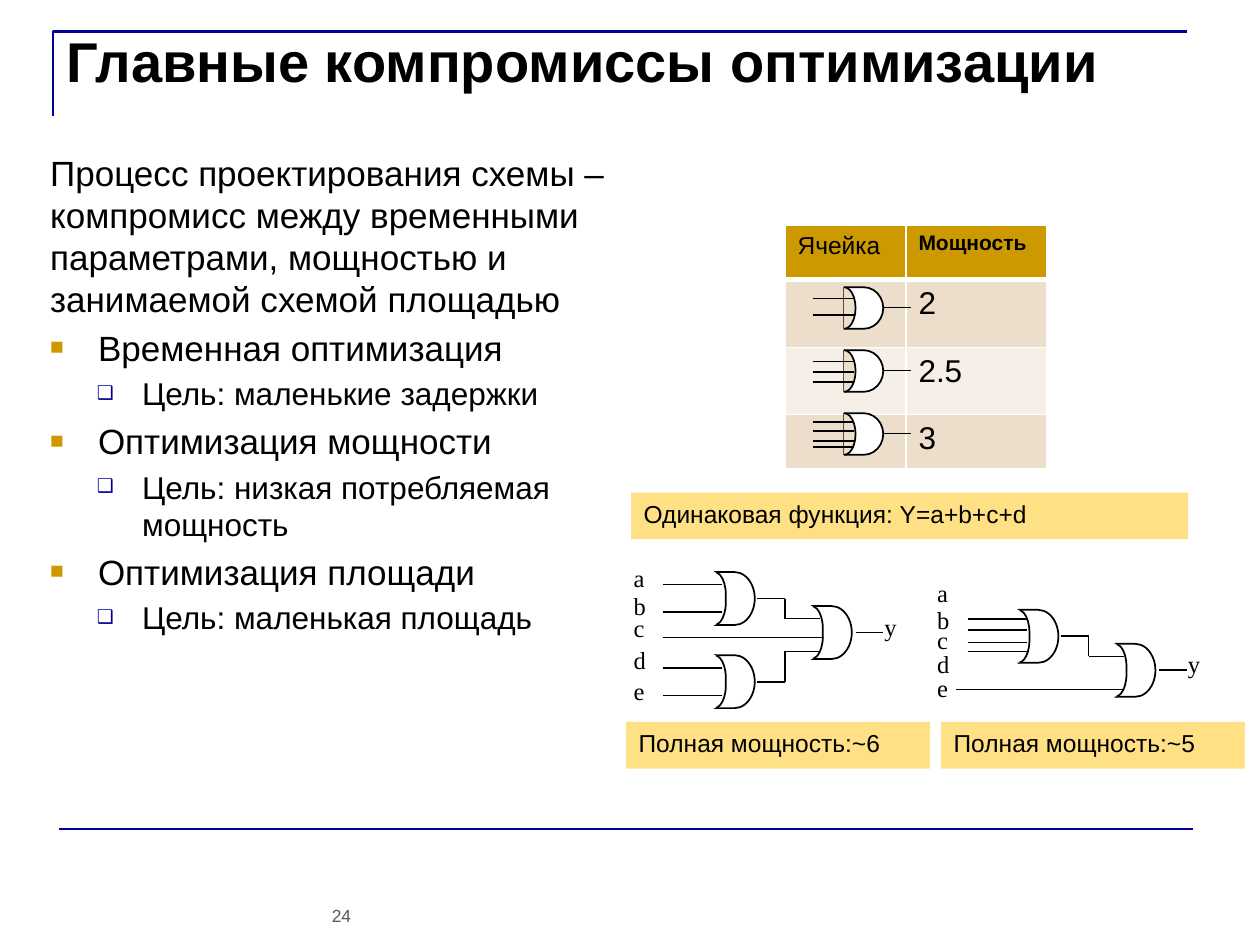
from lxml.etree import SubElement
from pptx import Presentation
from pptx.dml.color import RGBColor
from pptx.enum.shapes import MSO_CONNECTOR, MSO_SHAPE
from pptx.enum.text import MSO_ANCHOR, PP_ALIGN
from pptx.oxml.ns import qn
from pptx.util import Emu, Pt

PX = 9144  # EMU in one px: 100 px to the inch

BLACK = RGBColor(0x00, 0x00, 0x00)
WHITE = RGBColor(0xFF, 0xFF, 0xFF)
GRAY = RGBColor(0x59, 0x59, 0x59)
NAVY = RGBColor(0x00, 0x00, 0x99)
GOLD = RGBColor(0xCC, 0x99, 0x00)
YELLOW = RGBColor(0xFF, 0xE0, 0x85)
SAND = RGBColor(0xEC, 0xDE, 0xCB)
CREAM = RGBColor(0xF6, 0xEF, 0xE7)
BEIGE = RGBColor(0xEE, 0xDF, 0xCC)

# level: text size, left margin, hanging indent, bullet, bullet colour, bullet size
LEVELS = {
    0: (20, 38, 38, "■", GOLD, 65),
    1: (18, 73, 36, "❑", NAVY, 60),
}
GOALS = [
    ("Временная оптимизация", "Цель: маленькие задержки"),
    ("Оптимизация мощности", "Цель: низкая потребляемая мощность"),
    ("Оптимизация площади", "Цель: маленькая площадь"),
]
CELLS = [("Ячейка", "Мощность"), ("", "2"), ("", "2.5"), ("", "3")]


def px(n):
    return Emu(n * PX)


class Slide:
    font = {"name": "Arial", "size": 14, "bold": False, "color": BLACK}

    def __init__(self, prs):
        self.s = prs.slides.add_slide(prs.slide_layouts[6])

    def style(self, font, **fmt):
        for key, value in {**self.font, **fmt}.items():
            if key == "color":
                font.color.rgb = value
            else:
                setattr(font, key, Pt(value) if key == "size" else value)

    def fill_text(self, tf, text, align=PP_ALIGN.LEFT, **fmt):
        tf.word_wrap = True
        p = tf.paragraphs[0]
        p.alignment = align
        r = p.add_run()
        r.text = text
        self.style(r.font, **fmt)

    def text(self, x, y, w, h, text, **fmt):
        tf = self.s.shapes.add_textbox(px(x), px(y), px(w), px(h)).text_frame
        self.fill_text(tf, text, **fmt)
        return tf

    def bullet(self, tf, level, text):
        size, margin, hang, char, color, percent = LEVELS[level]
        p = tf.add_paragraph()
        p.level = level
        p.space_before = Pt(size * 0.2)
        pPr = p._p.get_or_add_pPr()
        pPr.set("marL", str(px(margin)))
        pPr.set("indent", str(-px(hang)))
        clr = SubElement(pPr, qn("a:buClr"))
        SubElement(clr, qn("a:srgbClr"), val=str(color))
        SubElement(pPr, qn("a:buSzPct"), val=str(percent * 1000))
        SubElement(pPr, qn("a:buFont"), typeface="Arial")
        SubElement(pPr, qn("a:buChar"), char=char)
        r = p.add_run()
        r.text = text
        self.style(r.font, size=size)

    def line(self, x1, y1, x2, y2, width=1, color=BLACK):
        c = self.s.shapes.add_connector(
            MSO_CONNECTOR.STRAIGHT, px(x1), px(y1), px(x2), px(y2))
        c.line.color.rgb = color
        c.line.width = Pt(width)
        SubElement(c._element.spPr, qn("a:effectLst"))

    def corner(self, points, width, color):
        fb = self.s.shapes.build_freeform(*points[0], scale=PX)
        fb.add_line_segments(points[1:], close=False)
        sp = fb.convert_to_shape()
        sp.shadow.inherit = False
        sp.fill.background()
        sp.line.color.rgb = color
        sp.line.width = Pt(width)

    def shape(self, kind, x, y, w, h, fill, outline=None):
        sp = self.s.shapes.add_shape(kind, px(x), px(y), px(w), px(h))
        sp.shadow.inherit = False
        sp.fill.solid()
        sp.fill.fore_color.rgb = fill
        if outline is None:
            sp.line.fill.background()
        else:
            sp.line.color.rgb = outline
            sp.line.width = Pt(1)
        return sp

    def caption(self, x, y, w, text):
        sp = self.shape(MSO_SHAPE.RECTANGLE, x, y, w, 37, YELLOW)
        sp.text_frame.vertical_anchor = MSO_ANCHOR.TOP
        self.fill_text(sp.text_frame, text)

    def gate(self, x, y, w=32, h=42, back=WHITE, masked=True):
        """OR gate; the mask hides the straight left edge of its body."""
        self.shape(MSO_SHAPE.FLOWCHART_DELAY, x, y, w, h, WHITE, BLACK)
        sp = self.shape(MSO_SHAPE.RIGHT_BRACKET, x, y, 9, h, back, BLACK)
        sp.adjustments[0] = 1.954
        if masked:
            self.shape(MSO_SHAPE.RECTANGLE, x - 6, y, 7, h, WHITE)

    def labels(self, x, tops, names):
        for y, name in zip(tops, names):
            self.text(x, y, 34, 40, name, name="Times New Roman")

    def table(self, x, y, widths, heights, rows):
        t = self.s.shapes.add_table(len(rows), len(widths), px(x), px(y),
                                    px(sum(widths)), px(sum(heights))).table
        t.first_row = t.horz_banding = False
        for col, w in zip(t.columns, widths):
            col.width = px(w)
        for i, (values, h) in enumerate(zip(rows, heights)):
            t.rows[i].height = px(h)
            for j, value in enumerate(values):
                cell = t.cell(i, j)
                self.borders(cell, top=3 if i == 1 else 1, bottom=3 if i == 0 else 1)
                cell.fill.solid()
                cell.fill.fore_color.rgb = (GOLD, SAND, CREAM, SAND)[i]
                if value:
                    head = i == 0 and j == 1
                    size = 18 if i else 12 if head else 14
                    self.fill_text(cell.text_frame, value, size=size, bold=head)

    def borders(self, cell, top, bottom):
        tcPr = cell._tc.get_or_add_tcPr()
        for side, width in (("L", 1), ("R", 1), ("T", top), ("B", bottom)):
            ln = SubElement(tcPr, qn("a:ln" + side), w=str(Pt(width)))
            SubElement(SubElement(ln, qn("a:solidFill")), qn("a:srgbClr"), val=str(WHITE))


def main():
    prs = Presentation()
    prs.slide_width, prs.slide_height = px(1000), px(750)
    s = Slide(prs)

    s.corner([(42, 92), (42, 25), (942, 25)], 1.5, NAVY)
    s.line(47, 658, 947, 658, 1.5, NAVY)
    s.text(250, 713, 42, 27, "24", align=PP_ALIGN.CENTER, size=10, color=GRAY)
    s.text(43, 16, 900, 125, "Главные компромиссы оптимизации", size=32, bold=True)

    body = s.text(30, 115, 477, 520, "Процесс проектирования схемы – компромисс между временными "
                  "параметрами, мощностью и занимаемой схемой площадью", size=20)
    for goal in GOALS:
        for level, text in enumerate(goal):
            s.bullet(body, level, text)

    s.table(623, 179, (96, 112), (43, 54, 53, 43), CELLS)
    for y, inputs in ((228, (9, 22)), (278, (9, 17, 25)), (328, (7, 14, 22, 27))):
        s.line(702, y + 16, 723, y + 16)
        s.gate(670, y, 31, 33, BEIGE, masked=False)
        for dy in inputs:
            s.line(645, y + dy, 678, y + dy)

    # Three-gate circuit
    s.gate(644, 481)
    s.line(679, 502, 701, 502)
    for y, turn in ((454, 491), (520, 517)):
        s.gate(567, y)
        for dy in (10, 32):
            s.line(526, y + dy, 573, y + dy)
        s.line(601, y + 21, 623, y + 21)
        s.line(623, y + 21, 623, turn, 0.75)
        s.line(623, turn, 651, turn, 0.75)
    s.line(526, 506, 654, 506, 0.75)
    s.labels(493, (442, 464, 482, 507, 532), "abcde")
    s.labels(692, (481,), "y")
    s.caption(497, 573, 241, "Полная мощность:~6")

    # Two-gate circuit
    s.gate(885, 511)
    s.line(920, 532, 942, 532)
    s.gate(808, 484)
    s.line(842, 505, 864, 505)
    s.line(864, 505, 864, 521, 0.75)
    s.line(864, 521, 892, 521, 0.75)
    s.line(759, 547, 892, 547, 0.75)
    for y, width in ((491, 1), (500, 1), (510, 0.75), (517, 0.75)):
        s.line(768, y, 815, y, width)
    s.labels(734, (454, 475, 491, 510, 529), "abcde")
    s.labels(933, (510,), "y")
    s.caption(747, 573, 241, "Полная мощность:~5")

    s.caption(501, 391, 442, "Одинаковая функция: Y=a+b+c+d")
    prs.save("out.pptx")


if __name__ == "__main__":
    main()
